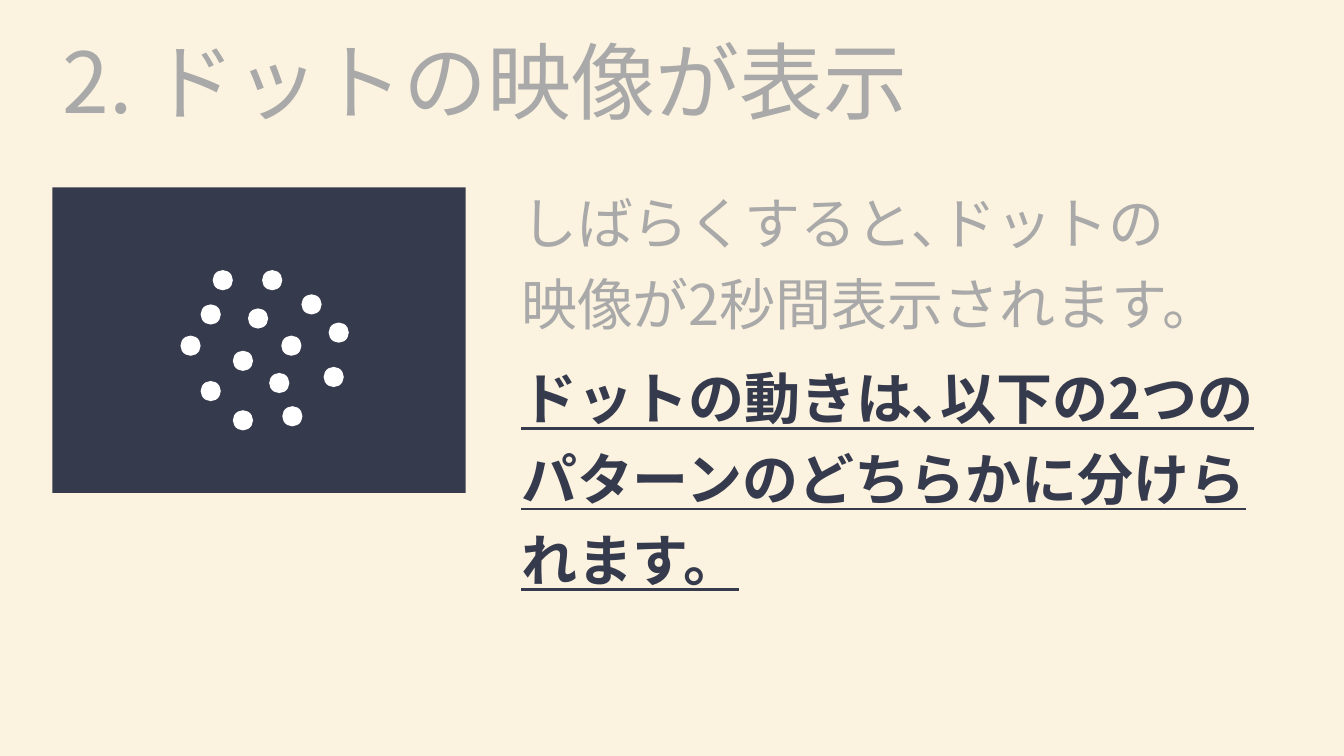
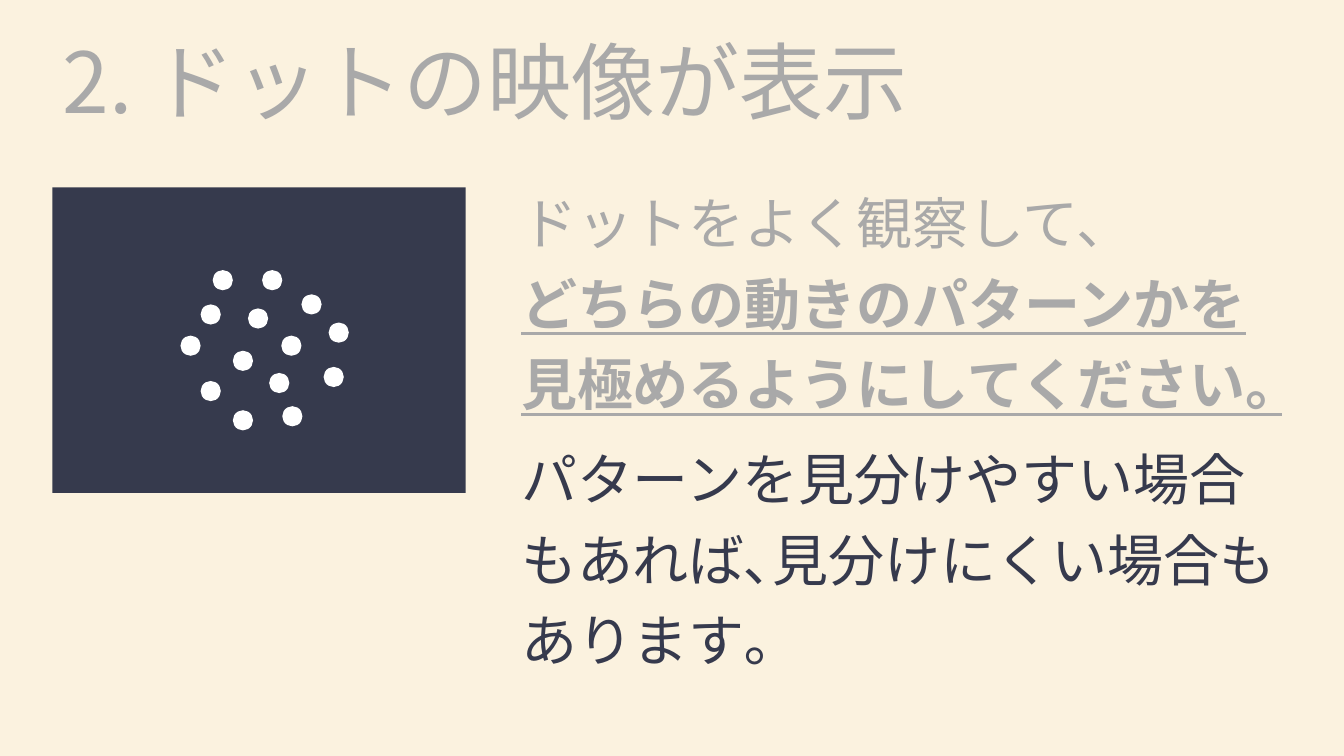
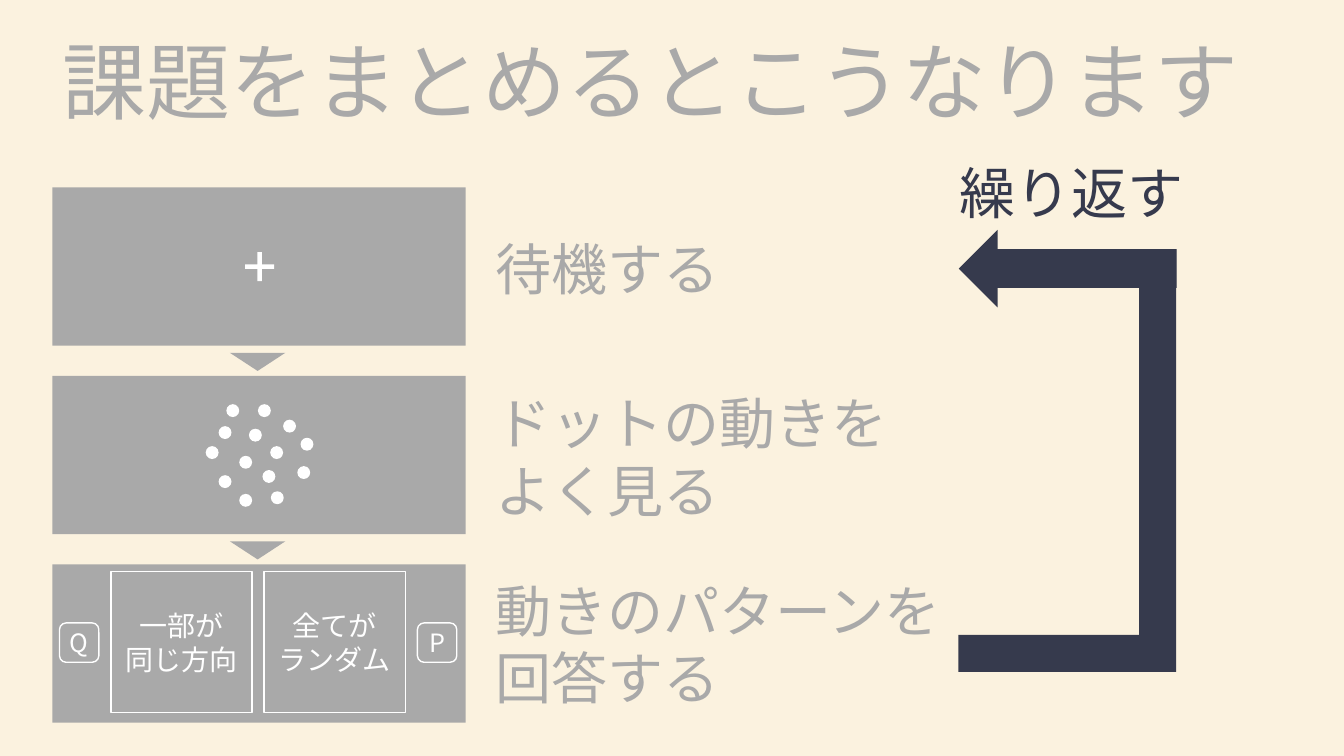
import pptx
import pptx.util
import pptx.dml.color
import pptx.enum.shapes
import pptx.enum.text
import pptx.oxml.ns
import lxml.etree

Inches, Pt = pptx.util.Inches, pptx.util.Pt
KIND = pptx.enum.shapes.MSO_SHAPE
ALIGN = pptx.enum.text.PP_ALIGN
ANCHOR = pptx.enum.text.MSO_ANCHOR
FONT = "Noto Sans CJK JP"
COLORS = {"cream": "FBF2DF", "gray": "A9A9A9", "navy": "363A4D", "white": "FFFFFF"}

# Each paragraph is a list of lines: (text, colour, strong)
LESSONS = [
    ("2. ドットの映像が表示", [
        [("しばらくすると､ドットの", "gray", False),
         ("映像が2秒間表示されます。", "gray", False)],
        [("ドットの動きは､以下の2つのパターンのどちらかに分けられます。", "navy", True)],
    ]),
    ("2. ドットの映像が表示", [
        [("ドットをよく観察して、", "gray", False),
         ("どちらの動きのパターンかを", "gray", True),
         ("見極めるようにしてください。", "gray", True)],
        [("パターンを見分けやすい場合もあれば､見分けにくい場合もあります｡", "navy", False)],
    ]),
]
SUMMARY = "課題をまとめるとこうなります"

# Label: text, colour, left, top, width, height
LABELS = [
    ("待機する", "gray", 4.82, 2.28, 2.45, 0.77),
    ("ドットの動きを\nよく見る", "gray", 4.82, 3.81, 4.13, 1.45),
    ("動きのパターンを\n回答する", "gray", 4.82, 5.67, 4.69, 1.45),
    ("繰り返す", "navy", 9.42, 1.52, 3.32, 0.77),
]
CHOICES = [("一部が\n同じ方向", 1.1), ("全てが\nランダム", 2.62)]
KEYS = [("Q", 0.59), ("P", 4.14)]

# Dot places, measured from the top left of the cloud
DOTS = [(0, 0.65), (0.2, 0.34), (1.2, 0.24), (0.81, 0), (0.52, 0.8), (0.67, 0.38),
        (0.2, 1.1), (1.01, 1.35), (1, 0.65), (1.42, 0.96), (0.88, 1.02), (0.32, 0),
        (0.52, 1.39), (1.47, 0.52)]
DOT = 0.2
LEFT, TOP, WIDE = 0.52, 1.86, 4.1
PANEL, PITCH = 1.57, 1.87


def rgb(name):
    """Return the named colour."""
    return pptx.dml.color.RGBColor.from_string(COLORS[name])


def style(run, size, color, strong=False):
    """Format one run, with the font for Japanese text as well."""
    font = run.font
    font.name, font.size = FONT, Pt(size)
    font.bold = font.underline = strong
    font.color.rgb = rgb(color)
    props = run._r.get_or_add_rPr()
    props.set("lang", "ja-JP")
    east = lxml.etree.SubElement(props, pptx.oxml.ns.qn("a:ea"))
    east.set("typeface", FONT)


def write(frame, text, size, color, align=ALIGN.LEFT):
    """Fill a text frame in one style."""
    frame.text = text
    frame.word_wrap = True
    for para in frame.paragraphs:
        para.alignment = align
        for run in para.runs:
            style(run, size, color)


def draw(shapes, kind, box, fill=None, adjust=(), turn=0):
    """Add a flat shape; without a fill it gets a white outline."""
    shape = shapes.add_shape(kind, *map(Inches, box))
    shape.shadow.inherit = False
    shape.rotation = turn
    for i, value in enumerate(adjust):
        shape.adjustments[i] = value
    if fill:
        shape.fill.solid()
        shape.fill.fore_color.rgb = rgb(fill)
        shape.line.fill.background()
    else:
        shape.fill.background()
        shape.line.color.rgb = rgb("white")
        shape.line.width = Pt(1)
    return shape


def framed(shapes, kind, box, text, size):
    """Add an outlined shape with centred white text."""
    frame = draw(shapes, kind, box).text_frame
    frame.margin_left = frame.margin_right = frame.margin_top = frame.margin_bottom = 0
    frame.vertical_anchor = ANCHOR.MIDDLE
    write(frame, text, size, "white", ALIGN.CENTER)


def cloud(shapes, left, top, scale=1):
    """Scatter the white dots."""
    size = DOT * scale
    for x, y in DOTS:
        box = (left + x * scale, top + y * scale, size, size)
        draw(shapes, KIND.OVAL, box, "white")


def start(deck, text):
    """Add a slide with its title."""
    slide = deck.slides.add_slide(deck.slide_layouts[5])
    title = slide.shapes.title
    title.left, title.top, title.width, title.height = map(Inches, (0.52, 0.32, 12.28, 1.07))
    frame = title.text_frame
    write(frame, text, 60, "gray")
    frame.auto_size = pptx.enum.text.MSO_AUTO_SIZE.NONE
    frame.vertical_anchor = ANCHOR.MIDDLE
    frame.paragraphs[0].line_spacing = 0.9
    return slide


def lesson(deck, title, paras):
    """Build a slide with the dot screen and its explanation."""
    shapes = start(deck, title).shapes
    frame = shapes.add_textbox(*map(Inches, (5.07, 1.69, 7.74, 5.25))).text_frame
    frame.word_wrap = True
    for i, lines in enumerate(paras):
        para = frame.add_paragraph() if i else frame.paragraphs[0]
        para.text = "\n".join(line[0] for line in lines)
        para.line_spacing, para.space_before = 1.2, Pt(10)
        for run, (_, color, strong) in zip(para.runs, lines):
            style(run, 40, color, strong)
    draw(shapes, KIND.RECTANGLE, (LEFT, TOP, WIDE, 3.03), "navy")
    cloud(shapes, 1.79, 2.68)


def summary(deck):
    """Build the slide with the three steps and the return arrow."""
    shapes = start(deck, SUMMARY).shapes
    for i in range(3):
        draw(shapes, KIND.RECTANGLE, (LEFT, TOP + i * PITCH, WIDE, PANEL), "gray")
    for i in range(2):
        box = (2.28, 3.5 + i * PITCH, 0.55, 0.18)
        draw(shapes, KIND.ISOSCELES_TRIANGLE, box, "gray", turn=180)
    draw(shapes, KIND.MATH_PLUS, (2.38, 2.45, 0.39, 0.39), "white", (0.11,))
    cloud(shapes.add_group_shape().shapes, 2.04, 4.01, 0.64)
    for text, left in CHOICES:
        framed(shapes, KIND.RECTANGLE, (left, 5.67, 1.4, 1.4), text, 20)
    for text, left in KEYS:
        framed(shapes, KIND.ROUNDED_RECTANGLE, (left, 6.18, 0.39, 0.39), text, 18)
    draw(shapes, KIND.LEFT_ARROW, (9.51, 2.28, 2.16, 0.77), "navy")
    draw(shapes, KIND.CORNER, (8.49, 3.49, 4.19, 2.16), "navy", (0.17, 0.17), 270)
    for text, color, *box in LABELS:
        write(shapes.add_textbox(*map(Inches, box)).text_frame, text, 40, color)


deck = pptx.Presentation()
deck.slide_width, deck.slide_height = Inches(13.33), Inches(7.5)
ground = deck.slide_master.background.fill
ground.solid()
ground.fore_color.rgb = rgb("cream")
for title, paras in LESSONS:
    lesson(deck, title, paras)
summary(deck)
deck.save("out.pptx")
